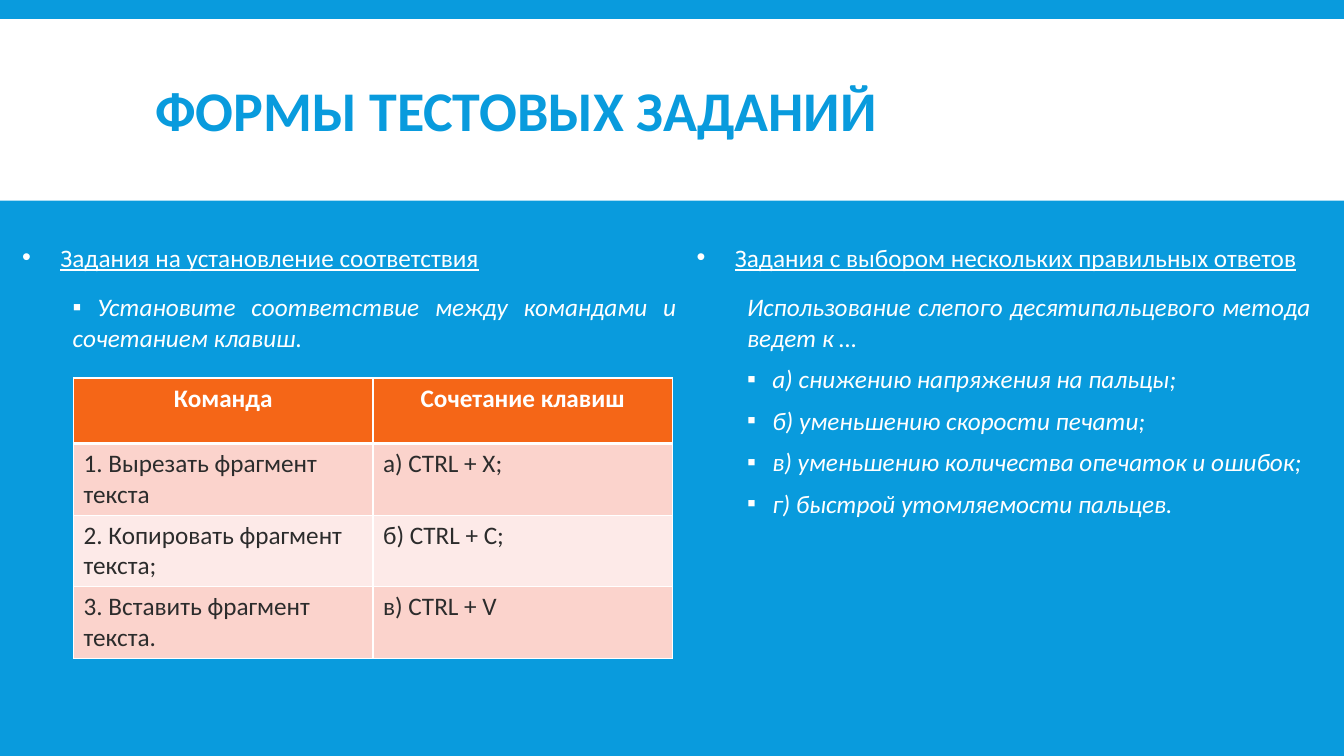
from dataclasses import dataclass

from lxml.etree import SubElement
from pptx import Presentation
from pptx.dml.color import RGBColor
from pptx.enum.shapes import MSO_SHAPE
from pptx.enum.text import MSO_ANCHOR, MSO_AUTO_SIZE, PP_ALIGN
from pptx.oxml.ns import qn
from pptx.util import Inches, Pt


@dataclass(frozen=True)
class Theme:
    """Colours, typeface and type sizes of the deck."""
    blue: str = "099BDD"
    white: str = "FFFFFF"
    orange: str = "F56617"
    ink: str = "2C2C2C"
    bands: tuple = ("FBD3CC", "FDEAE8")
    face: str = "Calibri"
    title_size: int = 40
    text_size: int = 18


@dataclass(frozen=True)
class ListStyle:
    """Spacing, indents and emphasis of one kind of list paragraph."""
    margin: float = 0.5
    indent: float = 0
    bullet: str = ""
    before: float = 6
    after: float = 2
    leading: float = 1.0
    underline: bool = False
    italic: bool = True


HEADING = ListStyle(0.38, -0.38, "•", 12, 8, 1.5, True, False)
TASK = ListStyle(bullet="▪", after=0)
QUESTION = ListStyle()
OPTION = ListStyle(0.75, -0.25, "▪")

MATCHING = [
    ("Задания на установление соответствия", HEADING),
    (" Установите соответствие между командами и сочетанием клавиш.", TASK),
]
MULTIPLE_CHOICE = [
    ("Задания с выбором нескольких правильных ответов", HEADING),
    ("Использование слепого десятипальцевого метода ведет к …", QUESTION),
    ("а) снижению напряжения на пальцы;", OPTION),
    ("б) уменьшению скорости печати;", OPTION),
    ("в) уменьшению количества опечаток и ошибок;", OPTION),
    ("г) быстрой утомляемости пальцев.", OPTION),
]
SHORTCUTS = [
    ("Команда", "Сочетание клавиш"),
    ("1. Вырезать фрагмент текста", "a) CTRL + X;"),
    ("2. Копировать фрагмент текста;", "б) CTRL + C;"),
    ("3. Вставить фрагмент текста.", "в) CTRL + V"),
]


class PageBuilder:
    """Draws styled elements on the current page."""

    def __init__(self, page, theme):
        self.page = page
        self.theme = theme
        self.paint(page.background.fill, theme.blue)

    def paint(self, fill, colour):
        fill.solid()
        fill.fore_color.rgb = RGBColor.from_string(colour)

    def set_font(self, para, size, colour, bold=False):
        font = para.font
        font.name, font.size, font.bold = self.theme.face, Pt(size), bold
        font.color.rgb = RGBColor.from_string(colour)

    def place(self, box, left, top, width, height):
        box.left, box.top = Inches(left), Inches(top)
        box.width, box.height = Inches(width), Inches(height)
        box.text_frame.auto_size = MSO_AUTO_SIZE.NONE
        box.text_frame.word_wrap = True

    def band(self, left, top, width, height):
        box = self.page.shapes.add_shape(
            MSO_SHAPE.RECTANGLE, Inches(left), Inches(top), Inches(width), Inches(height))
        box.shadow.inherit = False
        self.paint(box.fill, self.theme.white)
        box.line.fill.background()
        self.page.shapes._spTree.insert(2, box._element)

    def title(self, text, *bounds):
        box = self.page.shapes.title
        self.place(box, *bounds)
        frame = box.text_frame
        frame.text = text
        frame.margin_left = Inches(0.22)
        frame.vertical_anchor = MSO_ANCHOR.MIDDLE
        para = frame.paragraphs[0]
        para.alignment = PP_ALIGN.LEFT
        para.line_spacing = 0.85
        self.set_font(para, self.theme.title_size, self.theme.blue, True)

    def bullet(self, para, style):
        properties = para._p.get_or_add_pPr()
        properties.set("marL", str(Inches(style.margin)))
        properties.set("indent", str(Inches(style.indent)))
        if style.bullet:
            colour = SubElement(properties, qn("a:buClr"))
            SubElement(colour, qn("a:srgbClr"), val=self.theme.white)
            SubElement(properties, qn("a:buFont"), typeface="Arial")
            SubElement(properties, qn("a:buChar"), char=style.bullet)
        else:
            SubElement(properties, qn("a:buNone"))

    def body(self, index, items, *bounds):
        box = self.page.placeholders[index]
        self.place(box, *bounds)
        frame = box.text_frame
        frame.text = "\n".join(text for text, style in items)
        for para, (text, style) in zip(frame.paragraphs, items):
            para.alignment = PP_ALIGN.JUSTIFY
            para.line_spacing = style.leading
            para.space_before, para.space_after = Pt(style.before), Pt(style.after)
            self.bullet(para, style)
            self.set_font(para, self.theme.text_size, self.theme.white)
            para.font.underline, para.font.italic = style.underline, style.italic

    def border(self, cell, bottom):
        properties = cell._tc.get_or_add_tcPr()
        for side, width in (("L", 1), ("R", 1), ("T", 1), ("B", bottom)):
            line = SubElement(properties, qn(f"a:ln{side}"), w=str(Pt(width)))
            fill = SubElement(line, qn("a:solidFill"))
            SubElement(fill, qn("a:srgbClr"), val=self.theme.white)

    def table(self, rows, left, top, width, row_height):
        theme = self.theme
        grid = self.page.shapes.add_table(
            len(rows), len(rows[0]), Inches(left), Inches(top),
            Inches(width), Inches(row_height * len(rows))).table
        for row, texts in enumerate(rows):
            header = row == 0
            for column, text in enumerate(texts):
                cell = grid.cell(row, column)
                cell.text = text
                self.border(cell, 3 if header else 1)
                self.paint(cell.fill, theme.orange if header else theme.bands[(row - 1) % 2])
                para = cell.text_frame.paragraphs[0]
                para.alignment = PP_ALIGN.CENTER if header else PP_ALIGN.LEFT
                self.set_font(para, theme.text_size, theme.white if header else theme.ink, header)


def main():
    deck = Presentation()
    deck.slide_width, deck.slide_height = Inches(13.33), Inches(7.5)
    builder = PageBuilder(deck.slides.add_slide(deck.slide_layouts[3]), Theme())
    builder.band(0, 0.19, 13.33, 1.8)
    builder.title("ФОРМЫ ТЕСТОВЫХ ЗАДАНИЙ", 1.32, 0.31, 10.7, 1.65)
    builder.body(1, MATCHING, 0.12, 2.2, 6.69, 4.6)
    builder.body(2, MULTIPLE_CHOICE, 6.81, 2.2, 6.29, 4.6)
    builder.table(SHORTCUTS, 0.73, 3.75, 5.94, 0.65)
    deck.save("out.pptx")


if __name__ == "__main__":
    main()
